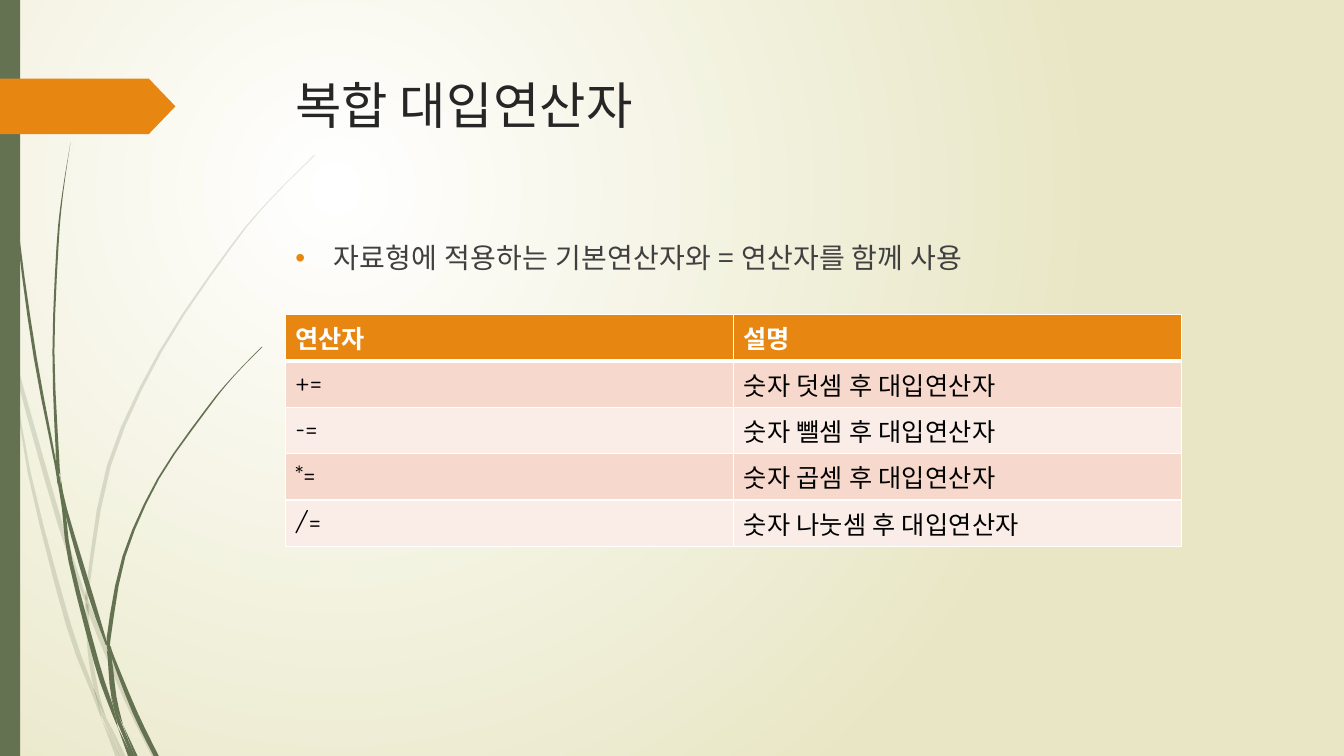
"""Build the slide on compound assignment operators."""
from lxml import etree
from pptx import Presentation
from pptx import util as u
from pptx.dml.color import RGBColor
from pptx.enum import shapes, text
from pptx.oxml.ns import qn

TITLE = "복합 대입연산자"
BULLET = "자료형에 적용하는 기본연산자와 = 연산자를 함께 사용"
ROWS = [
    ("연산자", "설명"),
    ("+=", "숫자 덧셈 후 대입연산자"),
    ("-=", "숫자 뺄셈 후 대입연산자"),
    ("*=", "숫자 곱셈 후 대입연산자"),
    ("/=", "숫자 나눗셈 후 대입연산자"),
]
WHITE = RGBColor(0xFF, 0xFF, 0xFF)
BLACK = RGBColor(0, 0, 0)
CREAM = RGBColor(0xE8, 0xE6, 0xC4)
GREEN = RGBColor(0x64, 0x72, 0x52)
ORANGE = RGBColor(0xE7, 0x87, 0x12)
TITLE_INK = RGBColor(0x26, 0x26, 0x26)
BODY_INK = RGBColor(0x40, 0x40, 0x40)
BANDS = [RGBColor(0xFA, 0xED, 0xE7), RGBColor(0xF6, 0xD9, 0xCC)]
KOREAN, LATIN = "Noto Sans CJK KR", "Quicksand"

# Each piece of grass is a list of (x, y, width) in inches.
PALE_GRASS = [
    [(0, 2.9, 0.02), (0.11, 3.5, 0.01)],
    [(0.14, 3.45, 0), (0.19, 3.76, 0.04), (0.6, 5.21, 0.05),
     (0.85, 5.95, 0.03)],
    [(0.88, 5.98, 0.01), (0.9, 6.08, 0.05), (1.25, 6.93, 0.05),
     (1.53, 7.5, 0.05)],
    [(1.05, 7.11, 0), (1.22, 7.5, 0.05)],
    [(0.11, 3.5, 0), (0.29, 4.69, 0.03), (0.68, 6.2, 0.05),
     (0.93, 6.88, 0.04), (1.01, 7.14, 0)],
    [(0.86, 6, 0.03), (0.89, 6.46, 0.04), (0.96, 6.87, 0.04),
     (1.05, 7.11, 0)],
    [(3.12, 1.54, 0.01), (2.68, 1.98, 0.01), (2.29, 2.45, 0.02),
     (1.59, 3.49, 0.03), (1.08, 4.62, 0.04), (0.87, 5.84, 0.03),
     (0.88, 5.96, 0)],
    [(1.01, 7.14, 0), (1.17, 7.5, 0.05)],
    [(0.85, 5.86, 0), (0.86, 5.98, 0.04), (0.88, 6.1, 0)],
    [(0.93, 6.83, 0), (1.02, 7.09, 0.04), (1.19, 7.5, 0)],
]
DARK_GRASS = [
    [(0.03, 0, 0.01), (0.07, 1.1, 0.02), (0.18, 2.33, 0.02),
     (0.35, 3.55, 0.03), (0.55, 4.6, 0.02), (0.57, 4.81, 0)],
    [(0.6, 4.72, 0), (0.65, 5.05, 0.03), (0.9, 5.91, 0.05),
     (1.06, 6.4, 0.02)],
    [(1.1, 6.41, 0), (1.12, 6.52, 0.03), (1.34, 7.07, 0.05),
     (1.55, 7.5, 0.05)],
    [(0.57, 4.77, 0), (0.63, 5.05, 0.03), (0.7, 5.57, 0.04),
     (0.96, 6.58, 0.05), (1.1, 7, 0.04), (1.17, 7.22, 0)],
    [(0.7, 1.41, 0), (0.62, 1.93, 0.01), (0.57, 2.45, 0.02),
     (0.53, 3.49, 0.02), (0.57, 4.51, 0.03), (0.6, 4.72, 0)],
    [(1.22, 7.19, 0), (1.35, 7.5, 0.03)],
    [(0.55, 4.49, 0), (0.58, 4.75, 0.03), (0.64, 5.05, 0)],
    [(2.6, 3.44, 0.01), (2.31, 3.74, 0.01), (2.05, 4.06, 0.02),
     (1.57, 4.75, 0.02), (1.23, 5.52, 0.03), (1.08, 6.32, 0.04),
     (1.1, 6.41, 0)],
    [(1.17, 7.22, 0), (1.29, 7.5, 0.04)],
    [(1.06, 6.45, 0), (1.09, 6.54, 0.04), (1.13, 6.91, 0.05),
     (1.22, 7.19, 0)],
    [(1.06, 6.31, 0), (1.08, 6.43, 0.04), (1.11, 6.56, 0)],
    [(1.1, 6.91, 0), (1.18, 7.16, 0.04), (1.32, 7.5, 0.03)],
]
STEPS = 3


def smooth(nodes):
    ends = [nodes[0], *nodes, nodes[-1]]
    points = []
    for a, b, c, d in zip(ends, ends[1:], ends[2:], ends[3:]):
        for t in (i / STEPS for i in range(STEPS)):
            points.append([
                q + (r - p) * t / 2 + (2 * p - 5 * q + 4 * r - s) * t**2 / 2
                + (3 * q - p - 3 * r + s) * t**3 / 2
                for p, q, r, s in zip(a, b, c, d)])
    return points + [nodes[-1]]


def paint(sp, color):
    sp.shadow.inherit = False
    sp.fill.solid()
    sp.fill.fore_color.rgb = color
    sp.line.fill.background()


def add_grass(s, nodes, opacity):
    spine = smooth(nodes) if len(nodes) > 3 else nodes
    edge = [(x - w / 2, y) for x, y, w in spine]
    edge += [(x + w / 2, y) for x, y, w in reversed(spine)]
    edge = [(u.Inches(x), u.Inches(y)) for x, y in edge]
    builder = s.shapes.build_freeform(*edge[0])
    builder.add_line_segments(edge[1:], close=True)
    sp = builder.convert_to_shape()
    paint(sp, GREEN)
    if opacity < 100:
        color = sp.fill._xPr.find(".//" + qn("a:srgbClr"))
        etree.SubElement(color, qn("a:alpha"), val=str(opacity * 1000))


def add_run(p, words, size, color, font, bold=False):
    r = p.add_run()
    r.text = words
    r.font.size, r.font.bold, r.font.name = u.Pt(size), bold, font
    r.font.color.rgb = color
    rPr = r._r.get_or_add_rPr()
    if not bold:
        rPr.set("spc", "20")
    etree.SubElement(rPr, qn("a:ea"), typeface=KOREAN)


def add_text(s, box, words, size, color):
    tf = s.shapes.add_textbox(*map(u.Inches, box)).text_frame
    tf.word_wrap = True
    tf.vertical_anchor = text.MSO_ANCHOR.TOP
    p = tf.paragraphs[0]
    add_run(p, words, size, color, KOREAN)
    return p


def add_bullet(p):
    pPr = p._p.get_or_add_pPr()
    pPr.set("marL", str(u.Inches(0.38)))
    pPr.set("indent", str(-u.Inches(0.38)))
    color = etree.SubElement(pPr, qn("a:buClr"))
    etree.SubElement(color, qn("a:srgbClr"), val=str(ORANGE))
    etree.SubElement(pPr, qn("a:buFont"), typeface="Arial")
    etree.SubElement(pPr, qn("a:buChar"), char="•")


def add_borders(cell, widths):
    tcPr = cell._tc.get_or_add_tcPr()
    for side, width in zip("LRTB", widths):
        ln = etree.SubElement(tcPr, qn("a:ln" + side), w=str(u.Pt(width)))
        fill = etree.SubElement(ln, qn("a:solidFill"))
        etree.SubElement(fill, qn("a:srgbClr"), val=str(WHITE))


def add_operator_table(s):
    box = map(u.Inches, (2.83, 3.12, 8.89, 0.46 * len(ROWS)))
    table = s.shapes.add_table(len(ROWS), len(ROWS[0]), *box).table
    for i, row in enumerate(ROWS):
        header = i == 0
        for j, words in enumerate(row):
            cell = table.cell(i, j)
            add_borders(cell, (1, 1, 3 if i == 1 else 1, 3 if header else 1))
            cell.fill.solid()
            cell.fill.fore_color.rgb = ORANGE if header else BANDS[i % 2]
            add_run(cell.text_frame.paragraphs[0], words, 18,
                    WHITE if header else BLACK, LATIN, header)


def set_background(s):
    fill = s.background.fill
    fill.gradient()
    for stop, color in zip(fill.gradient_stops, (WHITE, CREAM)):
        stop.color.rgb = color
    grad = s._element.find(".//" + qn("a:gradFill"))
    grad.remove(grad.find(qn("a:lin")))
    circle = etree.SubElement(grad, qn("a:path"), path="circle")
    etree.SubElement(circle, qn("a:fillToRect"),
                     l="50000", t="50000", r="100000", b="100000")


def main():
    prs = Presentation()
    prs.slide_width, prs.slide_height = u.Inches(13.33), u.Inches(7.5)
    s = prs.slides.add_slide(prs.slide_layouts[6])
    set_background(s)
    for grass, opacity in ((PALE_GRASS, 20), (DARK_GRASS, 100)):
        for nodes in grass:
            add_grass(s, nodes, opacity)
    bar = s.shapes.add_shape(shapes.MSO_SHAPE.RECTANGLE, 0, 0,
                             u.Inches(0.2), prs.slide_height)
    paint(bar, GREEN)
    tag = s.shapes.add_shape(shapes.MSO_SHAPE.PENTAGON, 0, u.Inches(0.78),
                             u.Inches(1.74), u.Inches(0.55))
    tag.adjustments[0] = 0.48
    paint(tag, ORANGE)
    add_text(s, (2.83, 0.69, 9.75, 1.4), TITLE, 36, TITLE_INK)
    add_bullet(add_text(s, (2.83, 2.34, 9.75, 4.13), BULLET, 20, BODY_INK))
    add_operator_table(s)
    prs.save("out.pptx")


if __name__ == "__main__":
    main()
